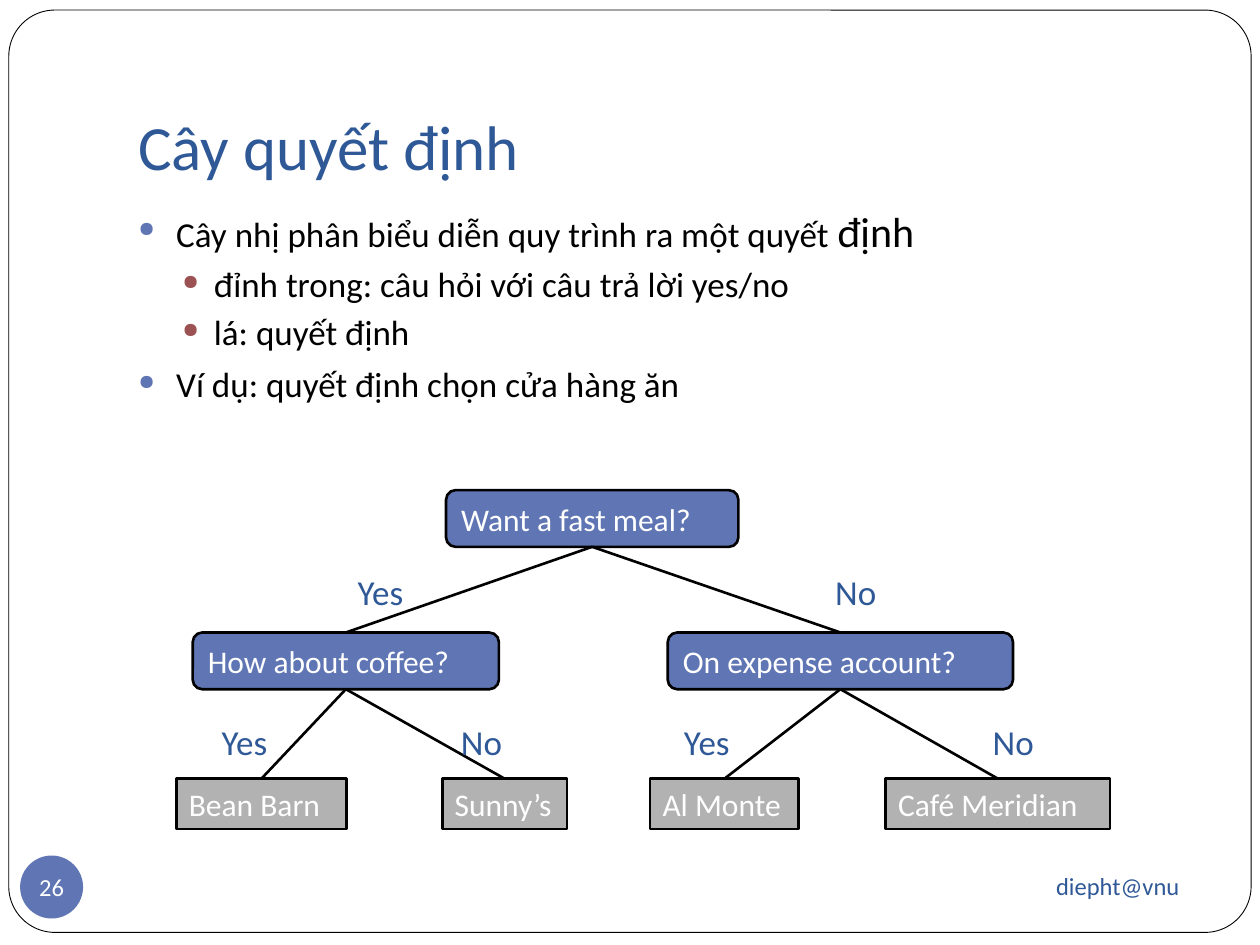
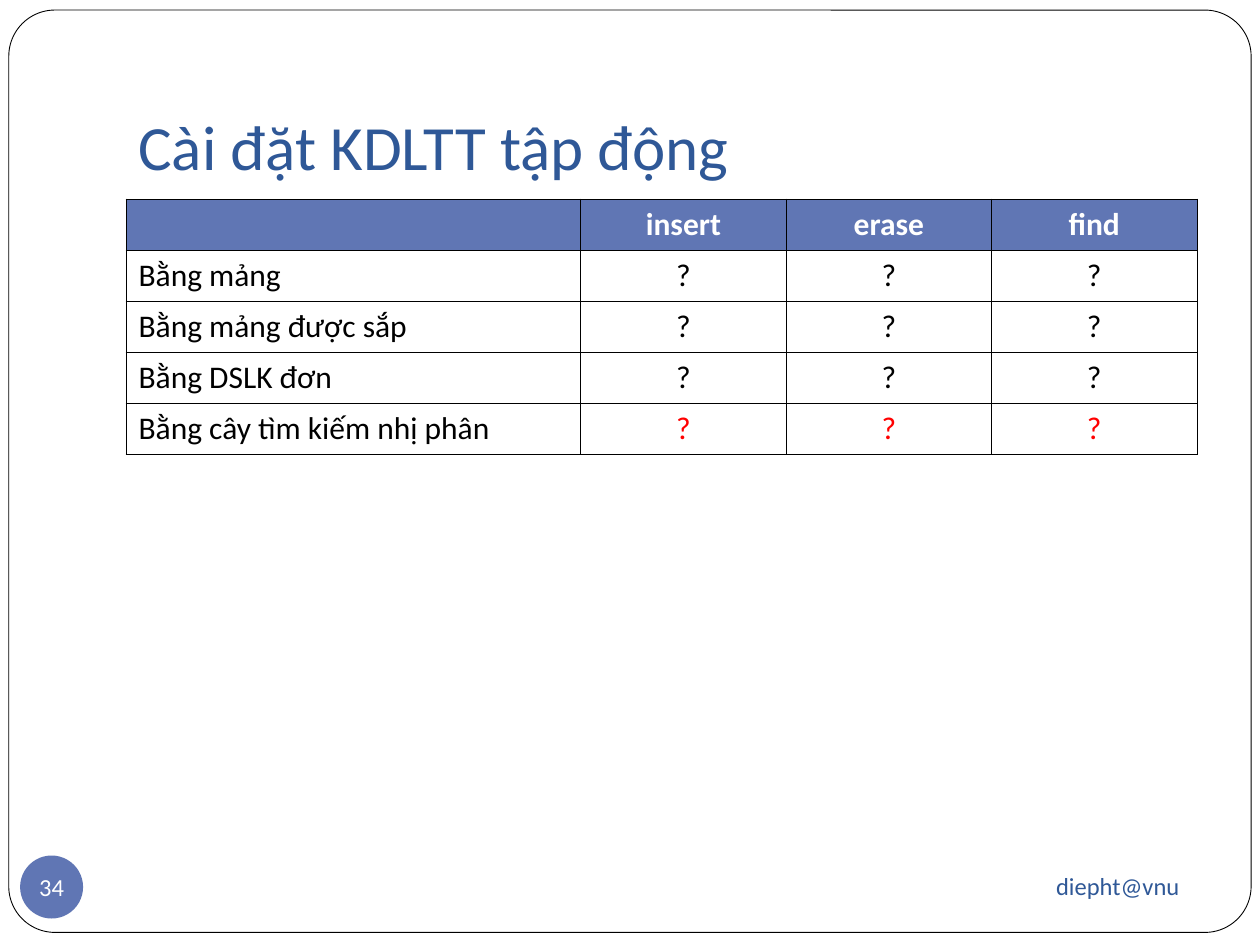
from dataclasses import dataclass
from typing import Optional

from lxml.etree import SubElement
from pptx import Presentation
from pptx.dml.color import RGBColor
from pptx.enum.shapes import MSO_CONNECTOR, MSO_SHAPE
from pptx.enum.text import MSO_ANCHOR, PP_ALIGN
from pptx.oxml import parse_xml
from pptx.oxml.ns import nsdecls, qn
from pptx.util import Inches, Pt

BLUE = RGBColor(0x60, 0x76, 0xB4)
NAVY = RGBColor(0x2F, 0x58, 0x97)
BRICK = RGBColor(0x9C, 0x52, 0x52)
GREY = RGBColor(0xB2, 0xB2, 0xB2)
RED = RGBColor(0xFF, 0x00, 0x00)
BLACK = RGBColor(0x00, 0x00, 0x00)
WHITE = RGBColor(0xFF, 0xFF, 0xFF)
FONT = "Calibri"
FOOTER = "diepht@vnu"

LEVEL_TOPS = (3.89, 5.02, 6.18)
LABEL_TOPS = (4.48, 5.67)
QUESTION_HEIGHT, DECISION_HEIGHT = 0.45, 0.4


@dataclass
class Box:
    left: float
    top: float
    width: float
    height: float

    def lengths(self) -> list:
        return [Inches(v) for v in (self.left, self.top, self.width, self.height)]


@dataclass
class Bullet:
    runs: list  # (text, size) pairs
    level: int = 0


@dataclass
class BulletStyle:
    margin: float
    hanging: float
    space_before: float
    color: RGBColor


@dataclass
class Node:
    """A question with yes and no branches, or a decision without them."""
    text: str
    left: float
    width: float
    label_left: float = 0
    yes: Optional["Node"] = None
    no: Optional["Node"] = None

    @property
    def center(self) -> float:
        return self.left + self.width / 2


BULLET_STYLES = (BulletStyle(0.3, 0.3, 5.8, BLUE), BulletStyle(0.6, 0.25, 3.7, BRICK))
BULLETS = [
    Bullet([("Cây nhị phân biểu diễn quy trình ra một quyết ", 20), ("định", 24)]),
    Bullet([("đỉnh trong: câu hỏi với câu trả lời yes/no", 20)], 1),
    Bullet([("lá: quyết định", 20)], 1),
    Bullet([("Ví dụ: quyết định chọn cửa hàng ăn", 20)]),
]

MEAL_TREE = Node(
    "Want a fast meal?", 3.54, 2.32,
    yes=Node("How about coffee?", 1.53, 2.43, 2.74,
             yes=Node("Bean Barn", 1.4, 1.35, 1.66),
             no=Node("Sunny’s", 3.51, 0.99, 3.56)),
    no=Node("On expense account?", 5.3, 2.74, 6.53,
            yes=Node("Al Monte", 5.16, 1.18, 5.33),
            no=Node("Café Meridian", 7.03, 1.78, 7.78)),
)

OPERATIONS = ["", "insert", "erase", "find"]
STRUCTURES = ["Bằng mảng", "Bằng mảng được sắp", "Bằng DSLK đơn", "Bằng cây tìm kiếm nhị phân"]
COLUMN_WIDTHS = (3.61, 1.63, 1.63, 1.63)


def add_run(p, text: str, size: float, color: RGBColor, bold: bool = False) -> None:
    r = p.add_run()
    r.text = text
    for name, value in {"name": FONT, "size": Pt(size), "bold": bold}.items():
        setattr(r.font, name, value)
    r.font.color.rgb = color


def write(sp, text: str, size: float, color: RGBColor, align=PP_ALIGN.LEFT,
          anchor=MSO_ANCHOR.MIDDLE, **margins) -> None:
    tf = sp.text_frame
    for name, value in {"word_wrap": True, "vertical_anchor": anchor, **margins}.items():
        setattr(tf, name, value)
    p = tf.paragraphs[0]
    p.alignment = align
    add_run(p, text, size, color)


def add_text(slide, box: Box, text: str, size: float, **layout) -> None:
    write(slide.shapes.add_textbox(*box.lengths()), text, size, NAVY, **layout)


def add_shape(slide, kind, box: Box, fill: RGBColor, line_width: float = 0):
    sp = slide.shapes.add_shape(kind, *box.lengths())
    sp.shadow.inherit = False
    sp.fill.solid()
    sp.fill.fore_color.rgb = fill
    if line_width:
        sp.line.color.rgb = BLACK
        sp.line.width = Pt(line_width)
    else:
        sp.line.fill.background()
    return sp


def add_branch(slide, x1: float, y1: float, x2: float, y2: float) -> None:
    ends = [Inches(v) for v in (x1, y1, x2, y2)]
    line = slide.shapes.add_connector(MSO_CONNECTOR.STRAIGHT, *ends)
    line.line.color.rgb = BLACK
    line.line.width = Pt(1.5)
    SubElement(line._element.spPr, qn("a:effectLst"))


def add_base_slide(prs, title: str, number: int):
    """Add a slide with its frame, title, footer and number badge."""
    slide = prs.slides.add_slide(prs.slide_layouts[6])
    frame = add_shape(slide, MSO_SHAPE.ROUNDED_RECTANGLE, Box(0.07, 0.08, 9.86, 7.32), WHITE, 0.5)
    frame.adjustments[0] = 0.05
    add_text(slide, Box(1, 0.3, 8.5, 1.25), title, 36,
             anchor=MSO_ANCHOR.BOTTOM, margin_bottom=Inches(0.1))
    add_text(slide, Box(6.75, 6.77, 2.71, 0.52), FOOTER, 14, align=PP_ALIGN.RIGHT)
    badge = add_shape(slide, MSO_SHAPE.OVAL, Box(0.16, 6.79, 0.5, 0.5), BLUE)
    write(badge, str(number), 14, WHITE, PP_ALIGN.CENTER,
          margin_left=0, margin_right=0, margin_top=0, margin_bottom=0)
    return slide


def set_bullet(p, style: BulletStyle) -> None:
    pPr = p._p.get_or_add_pPr()
    pPr.set("marL", str(Inches(style.margin)))
    pPr.set("indent", str(-Inches(style.hanging)))
    color = SubElement(pPr, qn("a:buClr"))
    SubElement(color, qn("a:srgbClr"), val=str(style.color))
    SubElement(pPr, qn("a:buSzPct"), val="60000")
    SubElement(pPr, qn("a:buChar"), char="●")


def add_bullets(slide, box: Box, bullets: list) -> None:
    tf = slide.shapes.add_textbox(*box.lengths()).text_frame
    tf.word_wrap = True
    for i, bullet in enumerate(bullets):
        p = tf.paragraphs[0] if i == 0 else tf.add_paragraph()
        style = BULLET_STYLES[bullet.level]
        p.level = bullet.level
        set_bullet(p, style)
        if i:
            p.space_before = Pt(style.space_before)
        for text, size in bullet.runs:
            add_run(p, text, size, BLACK)


def draw_tree(slide, node: Node, level: int = 0) -> None:
    """Draw a node, then its labelled branches and subtrees."""
    top = LEVEL_TOPS[level]
    if node.yes:
        kind, height, fill = MSO_SHAPE.ROUNDED_RECTANGLE, QUESTION_HEIGHT, BLUE
    else:
        kind, height, fill = MSO_SHAPE.RECTANGLE, DECISION_HEIGHT, GREY
    sp = add_shape(slide, kind, Box(node.left, top, node.width, height), fill, 1.5)
    write(sp, node.text, 18, WHITE)
    for label, child in (("Yes", node.yes), ("No", node.no)):
        if child:
            add_branch(slide, node.center, top + height, child.center, LEVEL_TOPS[level + 1])
            add_text(slide, Box(child.label_left, LABEL_TOPS[level], 0.65, 0.44), label, 20,
                     anchor=MSO_ANCHOR.TOP)
            draw_tree(slide, child, level + 1)


def set_borders(cell) -> None:
    tcPr = cell._tc.get_or_add_tcPr()
    for i, side in enumerate(("lnL", "lnR", "lnT", "lnB")):
        tcPr.insert(i, parse_xml(
            f'<a:{side} {nsdecls("a")} w="{Pt(0.45)}"><a:solidFill>'
            f'<a:srgbClr val="{BLACK}"/></a:solidFill></a:{side}>'))


def add_cost_table(slide, box: Box) -> None:
    rows = [OPERATIONS] + [[name] + ["?"] * 3 for name in STRUCTURES]
    table = slide.shapes.add_table(len(rows), len(OPERATIONS), *box.lengths()).table
    table.horz_banding = False
    for column, width in zip(table.columns, COLUMN_WIDTHS):
        column.width = Inches(width)
    for i, row in enumerate(rows):
        table.rows[i].height = Inches(box.height / len(rows))
        for j, text in enumerate(row):
            cell = table.cell(i, j)
            if i == 0:
                cell.fill.solid()
                cell.fill.fore_color.rgb = BLUE
                color = WHITE
            else:
                cell.fill.background()
                color = RED if j and i == len(STRUCTURES) else BLACK
            set_borders(cell)
            p = cell.text_frame.paragraphs[0]
            p.alignment = PP_ALIGN.CENTER if j else PP_ALIGN.LEFT
            if text:
                add_run(p, text, 18, color, bold=i == 0)


def main() -> None:
    prs = Presentation()
    prs.slide_width, prs.slide_height = Inches(10), Inches(7.5)

    slide = add_base_slide(prs, "Cây quyết định", 26)
    add_bullets(slide, Box(1, 1.58, 8.5, 5), BULLETS)
    draw_tree(slide, MEAL_TREE)

    slide = add_base_slide(prs, "Cài đặt KDLTT tập động", 34)
    add_cost_table(slide, Box(1, 1.58, 8.5, 2.03))

    prs.save("out.pptx")


if __name__ == "__main__":
    main()
